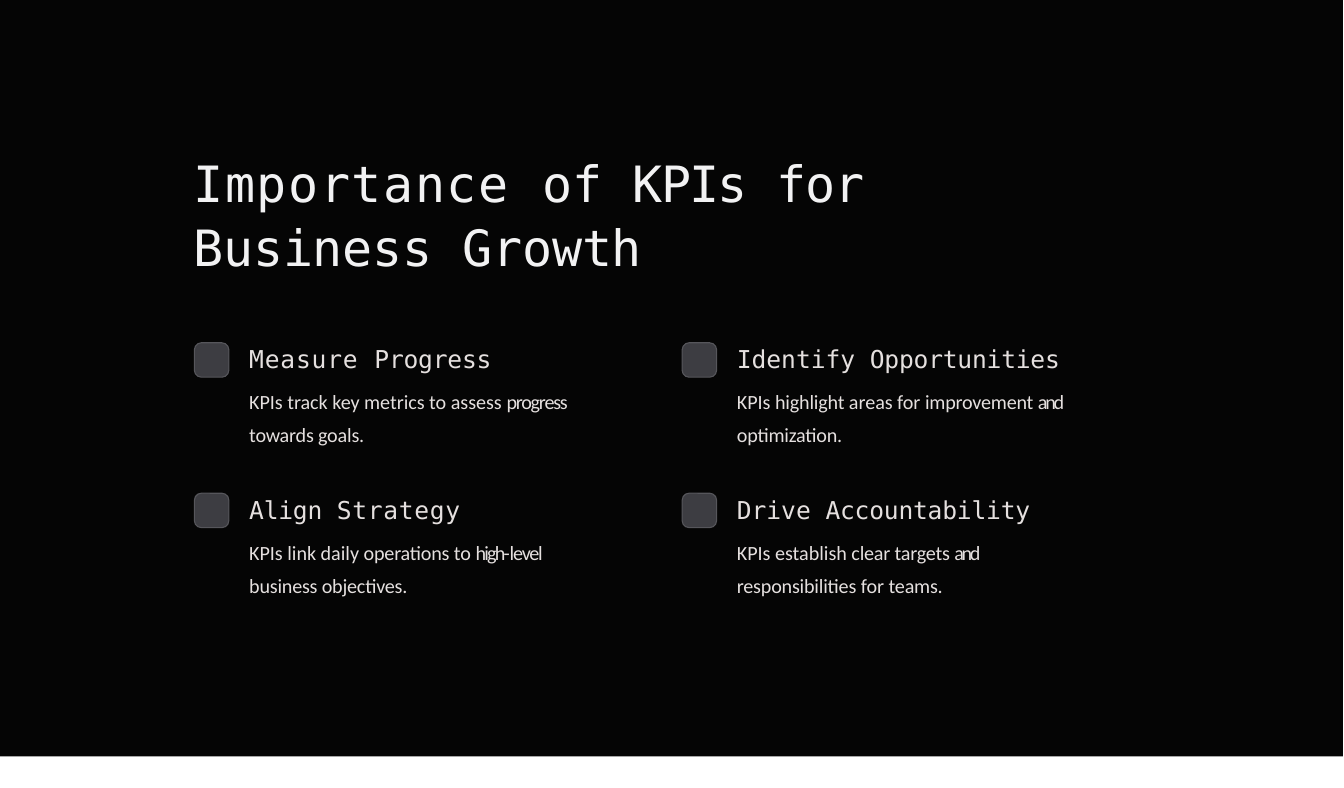
import pptx
import pptx.util
import pptx.dml.color
import pptx.enum.shapes
import pptx.enum.text

# Content: runs are (text, letter spacing in points)
TITLE = [("Importance ", 1.1), ("of ", 0), ("KPIs ", -1.1), ("for ", -0.6),
         ("Business Growth", -0.1)]
COLUMNS = [
    [
        ([("Measure ", 0.6), ("Progress", -0.1)],
         [("KPIs track key metrics to assess ", 0), ("progress ", -0.8),
          ("towards goals.", -0.1)]),
        ([("Align ", -0.1), ("Strategy", 0.5)],
         [("KPIs link daily ", 0), ("operations ", -0.1), ("to ", 0),
          ("high-", -1.2), ("level ", -0.8), ("business objectives.", -0.1)]),
    ],
    [
        ([("Identify ", 0), ("Opportunities", -0.1)],
         [("KPIs ", 0), ("highlight ", -0.1), ("areas for ", 0),
          ("improvement ", -0.1), ("and", -1.5), (" optimization.", -0.1)]),
        ([("Drive ", 0), ("Accountability", -0.1)],
         [("KPIs establish ", 0), ("clear targets ", -0.1), ("and", -1.6),
          (" responsibilities ", -0.1), ("for ", 0), ("teams.", -0.1)]),
    ],
]
COLORS = {"backdrop": "050505", "title": "F2F2F3", "text": "E5E0DF",
          "marker": "3D3D42", "edge": "56565B"}
MONO, SANS = "DejaVu Sans Mono", "Calibri"

# Grid, in inches; the slide is 1201 by 704 units of 1/96 inch
WIDTH, HEIGHT = 1201 / 96, 704 / 96
LEFT, TOP = 1.81, 3.19
COL_STEP, ROW_STEP = 4.54, 1.4
MARKER, TEXT_INDENT = 0.32, 0.5

Inches, Pt = pptx.util.Inches, pptx.util.Pt
SHAPE = pptx.enum.shapes.MSO_SHAPE


def color(name):
    return pptx.dml.color.RGBColor.from_string(COLORS[name])


def add_box(s, kind, x, y, w, h, fill, edge=None):
    sp = s.shapes.add_shape(kind, Inches(x), Inches(y), Inches(w), Inches(h))
    sp.shadow.inherit = False
    sp.fill.solid()
    sp.fill.fore_color.rgb = color(fill)
    if edge:
        sp.line.color.rgb = color(edge)
        sp.line.width = Pt(0.75)
    else:
        sp.line.fill.background()
    return sp


def set_frame(tf, right_inset):
    tf.word_wrap = True
    tf.auto_size = pptx.enum.text.MSO_AUTO_SIZE.SHAPE_TO_FIT_TEXT
    tf.vertical_anchor = pptx.enum.text.MSO_ANCHOR.TOP
    tf.margin_left, tf.margin_top = Inches(0.01), Inches(0.02)
    tf.margin_right, tf.margin_bottom = Inches(right_inset), 0


def fill_paragraph(p, runs, font, size, tint, before, spacing=1.0):
    p.alignment = pptx.enum.text.PP_ALIGN.LEFT
    p.space_before, p.line_spacing = Pt(before), spacing
    for text, tracking in runs:
        r = p.add_run()
        r.text = text
        r.font.name, r.font.size = font, Pt(size)
        r.font.color.rgb = color(tint)
        r.font._element.set("spc", str(round(tracking * 100)))


def main():
    prs = pptx.Presentation()
    prs.slide_width, prs.slide_height = Inches(WIDTH), Inches(HEIGHT)
    # The template's 4:3 label no longer fits the size
    prs.element.sldSz.attrib.pop("type", None)
    s = prs.slides.add_slide(prs.slide_layouts[5])

    # Dark backdrop, placed behind the title
    backdrop = add_box(s, SHAPE.RECTANGLE, 0, 0, 12.5, 7.04, "backdrop")
    s.shapes._spTree.insert(2, backdrop._element)

    # Title
    sp = s.shapes.title
    sp.left, sp.top = Inches(1.79), Inches(1.37)
    sp.width, sp.height = Inches(7.21), Inches(1.21)
    set_frame(sp.text_frame, 0)
    fill_paragraph(sp.text_frame.paragraphs[0], TITLE, MONO, 33.5, "title",
                   0.9, 1.06)

    # Two columns of points, each with a marker
    for col, points in enumerate(COLUMNS):
        x = LEFT + col * COL_STEP
        sp = s.shapes.add_textbox(Inches(x + TEXT_INDENT), Inches(TOP - 0.01),
                                  Inches(3.44), Inches(2.39))
        tf = sp.text_frame
        set_frame(tf, 0.2)
        for row, (heading, body) in enumerate(points):
            marker = add_box(s, SHAPE.ROUNDED_RECTANGLE, x, TOP + row * ROW_STEP,
                             MARKER, MARKER, "marker", "edge")
            marker.adjustments[0] = 0.2
            p = tf.add_paragraph() if row else tf.paragraphs[0]
            fill_paragraph(p, heading, MONO, 16.5, "text", 32.5 if row else 1.4)
            fill_paragraph(tf.add_paragraph(), body, SANS, 13.5, "text", 5.4, 1.34)

    prs.save("out.pptx")


if __name__ == "__main__":
    main()
